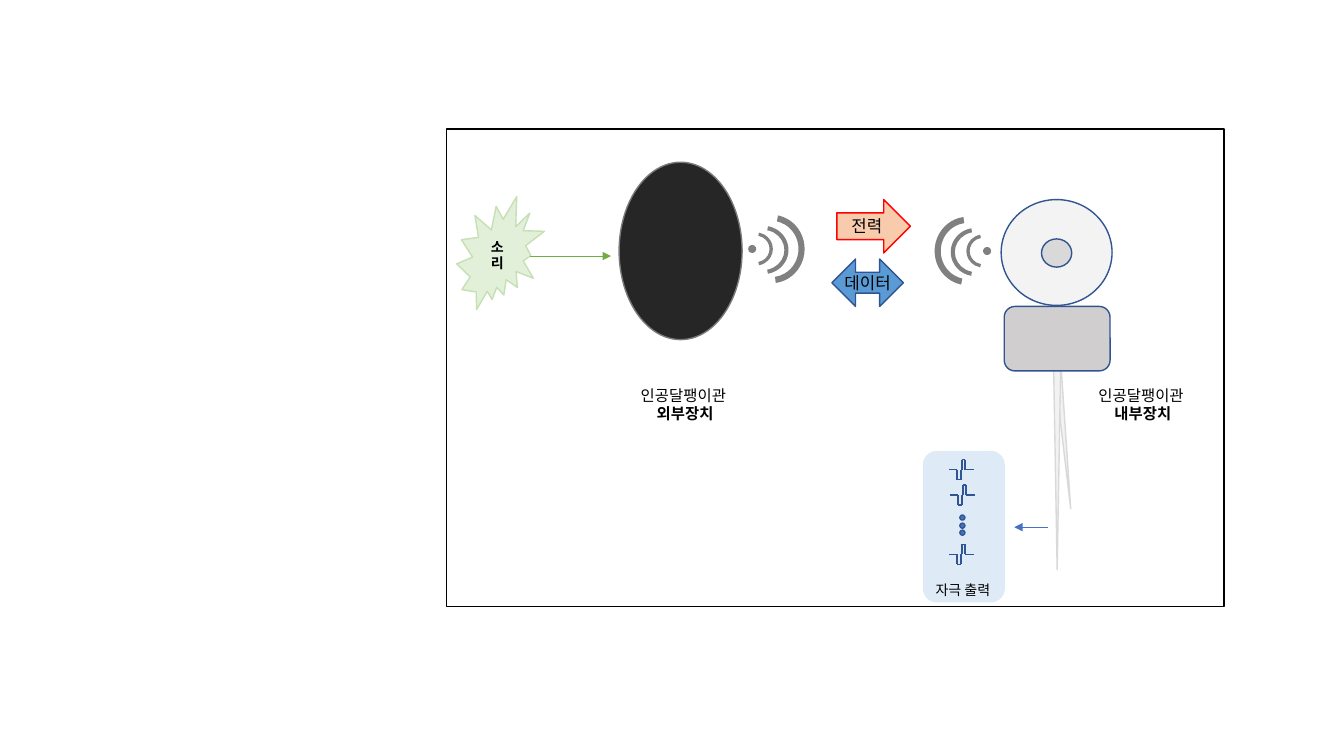
"""Draw a cochlear implant system: sound, external device, link, internal device, stimulation."""
from itertools import pairwise

from lxml.etree import SubElement
from pptx import Presentation
from pptx.dml.color import RGBColor
from pptx.enum.shapes import MSO_CONNECTOR, MSO_SHAPE
from pptx.enum.text import MSO_ANCHOR, MSO_AUTO_SIZE, PP_ALIGN
from pptx.oxml.ns import qn
from pptx.util import Pt

PX = 9144
FONT = "Noto Sans CJK KR"
COLORS = {
    "black": "000000", "shell": "262626", "shell edge": "7A7A7A", "wave": "808080",
    "navy": "325491", "pulse": "2F5597", "blue": "4472C4", "data": "5B9BD5",
    "panel": "DEEBF7", "power": "F8CBAD", "red": "FF0000", "green": "70AD47",
    "sound": "E2F0D9", "sound edge": "C5E0B4", "pale": "F2F2F2", "gray": "D9D9D9",
    "body": "D0CECE",
}

presentation = Presentation()
presentation.slide_width = 1333 * PX
presentation.slide_height = 750 * PX
slide = presentation.slides.add_slide(presentation.slide_layouts[6])


def draw(kind, box, fill=None, line=None, rotation=0, adjustments=(), parent=slide):
    shape = parent.shapes.add_shape(kind, *(length * PX for length in box))
    shape.shadow.inherit = False
    shape.rotation = rotation
    for index, value in enumerate(adjustments):
        shape.adjustments[index] = value
    if fill:
        shape.fill.solid()
        shape.fill.fore_color.rgb = RGBColor.from_string(COLORS[fill])
    else:
        shape.fill.background()
    if line:
        shape.line.color.rgb = RGBColor.from_string(COLORS[line])
        shape.line.width = Pt(1)
    else:
        shape.line.fill.background()
    return shape


def write(text, shape=None, box=None, size=12, bold_lines=(), inset=True):
    if shape is None:
        shape = slide.shapes.add_textbox(*(length * PX for length in box))
        shape.text_frame.auto_size = MSO_AUTO_SIZE.SHAPE_TO_FIT_TEXT
    else:
        shape.text_frame.vertical_anchor = MSO_ANCHOR.MIDDLE
    frame = shape.text_frame
    frame.word_wrap = True
    if not inset:
        frame.margin_left = frame.margin_right = frame.margin_top = frame.margin_bottom = 0
    frame.text = text
    for number, paragraph in enumerate(frame.paragraphs):
        paragraph.alignment = PP_ALIGN.CENTER
        run = paragraph.runs[0]
        run.font.name = FONT
        run.font.size = Pt(size)
        run.font.bold = number in bold_lines
        run.font.color.rgb = RGBColor.from_string(COLORS["black"])
        SubElement(run.font._element, qn("a:ea"), typeface=FONT)


draw(MSO_SHAPE.ROUNDED_RECTANGLE, (916, 448, 80, 149), "panel", "panel")
draw(MSO_SHAPE.ISOSCELES_TRIANGLE, (1052, 365, 7, 140), "pale", "gray", rotation=174.7)
draw(MSO_SHAPE.OVAL, (614, 161, 122, 176), "shell", "shell edge")
coil = draw(MSO_SHAPE.OVAL, (993, 198, 110, 105), "pale", "navy")
coil_color = coil.fill._xPr.find(qn("a:solidFill"))[0]
SubElement(coil_color, qn("a:alpha"), val="86000")
draw(MSO_SHAPE.OVAL, (1033, 237, 30, 28), "gray", "navy")
draw(MSO_SHAPE.ISOSCELES_TRIANGLE, (1045, 364, 7, 201), "pale", "gray", rotation=180)
draw(MSO_SHAPE.ROUNDED_RECTANGLE, (996, 304, 105, 64), "body", "navy")

wave_parts = [
    (MSO_SHAPE.BLOCK_ARC, (731, 214, 68, 66), (114.786, 211.557, 0.092)),
    (MSO_SHAPE.BLOCK_ARC, (733, 223, 48, 50), (114.786, 209.361, 0.085)),
    (MSO_SHAPE.BLOCK_ARC, (733, 230, 33, 34), (114.786, 209.131, 0.099)),
    (MSO_SHAPE.OVAL, (742, 243, 8, 8), ()),
]
for mirrored in (False, True):
    wave = slide.shapes.add_group_shape()
    for kind, (left, top, width, height), adjustments in wave_parts:
        if mirrored:
            left, top = 1725 - left - width, top + 2
        draw(kind, (left, top, width, height), "wave", rotation=270 if mirrored else 90,
             adjustments=adjustments, parent=wave)

for left, device in ((609, "외부장치"), (1063, "내부장치")):
    write(f"인공달팽이관 \n{device}", box=(left, 383, 141, 37), size=11,
          bold_lines=(1,), inset=False)

data_arrow = draw(MSO_SHAPE.LEFT_RIGHT_ARROW, (825, 257, 71, 47), "data", "navy",
                  adjustments=(0.441, 0.5))
write("데이터", data_arrow, inset=False)
power_arrow = draw(MSO_SHAPE.RIGHT_ARROW, (830, 198, 73, 53), "power", "red")
write("전력", power_arrow)
sound = draw(MSO_SHAPE.EXPLOSION2, (453, 195, 87, 112), "sound", "sound edge")
write("소리", sound, size=10, bold_lines=(0,))
write("자극 출력", box=(913, 577, 84, 17), size=10, inset=False)

lines = [
    (slide, (526, 254), (606, 254), "green", 0.5, True),
    (slide, (1039, 523), (1006, 523), "blue", 0.5, True),
]
pulse_points = [(0, 0), (8, 0), (8, 10), (12, 10), (12, 0),
                (13, 0), (13, -10), (16, -10), (16, 0), (25, 0)]
for left, middle in ((941, 550), (942, 491), (941, 466)):
    pulse = slide.shapes.add_group_shape()
    points = [(left + x, middle + y) for x, y in pulse_points]
    lines += [(pulse, start, end, "pulse", 1, False) for start, end in pairwise(points)]

for parent, start, end, color, width, arrow in lines:
    connector = parent.shapes.add_connector(
        MSO_CONNECTOR.STRAIGHT, *(length * PX for length in start + end))
    connector.line.color.rgb = RGBColor.from_string(COLORS[color])
    connector.line.width = Pt(width)
    if arrow:
        SubElement(connector.line._get_or_add_ln(), qn("a:tailEnd"), type="triangle")
    SubElement(connector._element.spPr, qn("a:effectLst"))

for top in (511, 519, 526):
    draw(MSO_SHAPE.OVAL, (952, top, 5, 5), "blue", "navy")
draw(MSO_SHAPE.RECTANGLE, (443, 128, 771, 474), line="black")

presentation.save("out.pptx")
